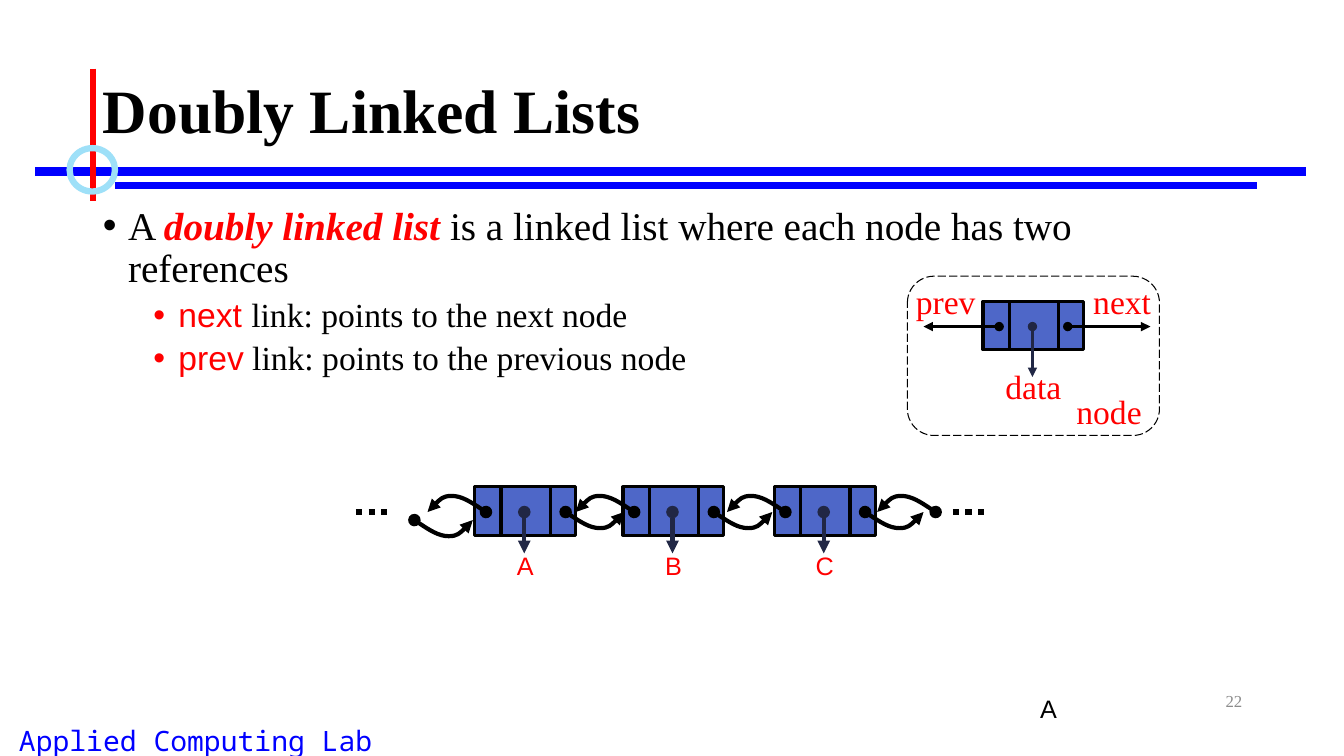
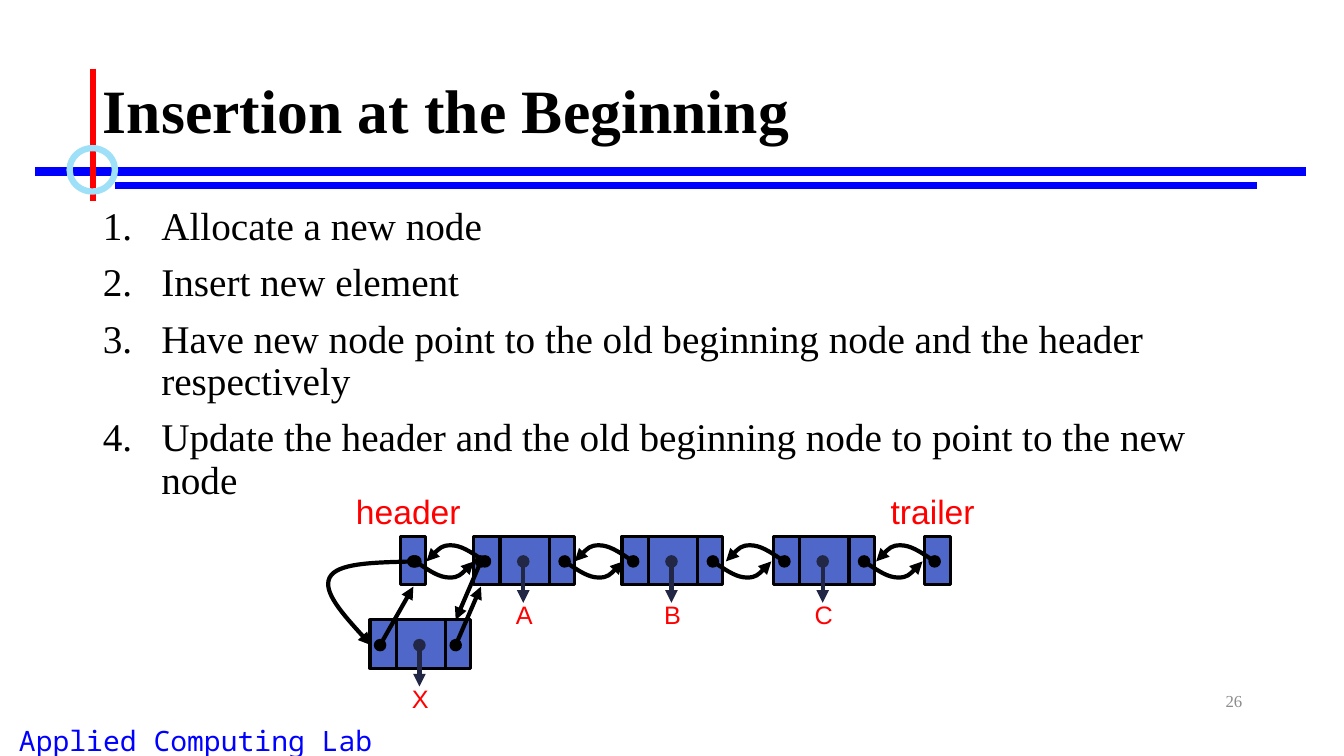
from dataclasses import dataclass

from lxml.etree import SubElement
from pptx import Presentation
from pptx.dml.color import RGBColor
from pptx.enum.dml import MSO_LINE as DASH
from pptx.enum.shapes import MSO_CONNECTOR, MSO_SHAPE as SHAPE
from pptx.enum.text import MSO_ANCHOR as ANCHOR, MSO_AUTO_SIZE as AUTO, PP_ALIGN as ALIGN
from pptx.oxml.ns import qn
from pptx.util import Inches, Pt


@dataclass(frozen=True)
class Theme:
    ink: str = "000000"
    accent: str = "FF0000"
    band: str = "0000FF"
    ring: str = "9EE0F8"
    cell: str = "4E67C8"
    data: str = "212745"
    muted: str = "8C8C8C"
    serif: str = "Times New Roman"
    sans: str = "Arial"
    mono: str = "Noto Sans Mono"
    title_pt: int = 44
    body_pt: int = 28
    sub_pt: int = 24
    footer_pt: int = 20
    label_pt: int = 18
    number_pt: int = 12


T = Theme()


class Deck:
    def __init__(self):
        self.prs = Presentation()
        self.prs.slide_width, self.prs.slide_height = Inches(13.33), Inches(7.5)
        self.s = None

    def slide(self, title, number):
        """Start a slide with its bands, title, footer and number."""
        self.s = self.prs.slides.add_slide(self.prs.slide_layouts[1])
        self.text("Applied Computing Lab", 0.09, 7.13, 4.3, 0.37,
                  T.footer_pt, T.mono, T.band, ALIGN.LEFT)
        self.line((0.35, 1.7), (12.95, 1.7), T.band, 6)
        self.line((1.14, 1.84), (12.47, 1.84), T.band, 4.5)
        self.line((0.92, 0.68), (0.92, 1.99), T.accent, 4.5)
        self.shape(SHAPE.OVAL, 0.69, 1.47, 0.45, 0.43, T.ring, 4.5)
        self.text(str(number), 9.42, 6.75, 3, 0.4, T.number_pt,
                  T.serif, T.muted, ALIGN.RIGHT, ANCHOR.MIDDLE)
        tf = self.place(self.s.shapes.title, 0.92, 0.4, 11.5, 1.45)
        tf.vertical_anchor = ANCHOR.MIDDLE
        p = tf.paragraphs[0]
        p.alignment, p.line_spacing = ALIGN.LEFT, 0.9
        self.run(p, title, T.title_pt, bold=True)

    def place(self, sp, x, y, w, h):
        sp.left, sp.top, sp.width, sp.height = map(Inches, (x, y, w, h))
        tf = sp.text_frame
        tf.word_wrap, tf.auto_size = True, AUTO.NONE
        return tf

    def run(self, p, text, size, font=T.serif, color=T.ink, bold=False, italic=False):
        r = p.add_run()
        r.text = text
        f = r.font
        f.size, f.name, f.bold, f.italic = Pt(size), font, bold, italic
        f.color.rgb = RGBColor.from_string(color)

    def body(self, items, indent, numbered=False):
        """Fill the body; items are (level, runs), a run is (text, style)."""
        tf = self.place(self.s.placeholders[1], 0.92, 2, 11.5, 4.76)
        tf.vertical_anchor = ANCHOR.TOP
        for i, (level, runs) in enumerate(items):
            p = tf.add_paragraph() if i else tf.paragraphs[0]
            p.level, p.alignment, p.line_spacing = level, ALIGN.LEFT, 0.9
            p.space_before = Pt((5 if level else 10) if i else 0)
            pPr = p._p.get_or_add_pPr()
            pPr.set("marL", str(Inches(indent + level * 0.5)))
            pPr.set("indent", str(-Inches(indent)))
            if numbered:
                SubElement(pPr, qn("a:buAutoNum"), type="arabicPeriod")
            else:
                SubElement(pPr, qn("a:buFont"), typeface=T.sans)
                SubElement(pPr, qn("a:buChar"), char="•")
            for text, style in runs:
                self.run(p, text, T.sub_pt if level else T.body_pt, **style)

    def text(self, text, x, y, w, h, size, font, color, align, anchor=ANCHOR.TOP):
        box = self.s.shapes.add_textbox(*map(Inches, (x, y, w, h)))
        tf = box.text_frame
        tf.word_wrap, tf.vertical_anchor = True, anchor
        p = tf.paragraphs[0]
        p.alignment = align
        self.run(p, text, size, font, color)

    def label(self, text, center, y, size=T.label_pt, font=T.sans, color=T.accent):
        w = 0.4 if len(text) == 1 else 1.3
        self.text(text, center - w / 2, y, w, size / 45, size, font, color, ALIGN.CENTER)

    def stroke(self, sp, color, weight, dash=None, arrow=False):
        sp.line.color.rgb = RGBColor.from_string(color)
        sp.line.width = Pt(weight)
        if dash:
            sp.line.dash_style = dash
        if arrow:
            ln = sp._element.spPr.find(qn("a:ln"))
            SubElement(ln, qn("a:headEnd"), type="oval")
            SubElement(ln, qn("a:tailEnd"), type="triangle")

    def shape(self, kind, x, y, w, h, color=T.ink, weight=2.25, fill=None, dash=None):
        sp = self.s.shapes.add_shape(kind, *map(Inches, (x, y, w, h)))
        sp.shadow.inherit = False
        if fill:
            sp.fill.solid()
            sp.fill.fore_color.rgb = RGBColor.from_string(fill)
        else:
            sp.fill.background()
        self.stroke(sp, color, weight, dash)

    def line(self, start, end, color=T.ink, weight=3, dash=None, arrow=False):
        cn = self.s.shapes.add_connector(
            MSO_CONNECTOR.STRAIGHT, *map(Inches, (*start, *end)))
        self.stroke(cn, color, weight, dash, arrow)
        SubElement(cn._element.spPr, qn("a:effectLst"))

    def arrow(self, start, end, color=T.ink, weight=3):
        self.line(start, end, color, weight, arrow=True)

    def curve(self, points):
        """Draw an arrow along cubic curves: a start, then three points per curve."""
        emu = [(Inches(x), Inches(y)) for x, y in points]
        fb = self.s.shapes.build_freeform(*emu[0])
        fb.add_line_segments(emu[1:], close=False)
        sp = fb.convert_to_shape()
        segments = list(sp._element.iter(qn("a:lnTo")))
        for i in range(0, len(segments), 3):
            bezier = SubElement(segments[i].getparent(), qn("a:cubicBezTo"))
            for seg in segments[i:i + 3]:
                bezier.append(seg[0])
                seg.getparent().remove(seg)
        sp.shadow.inherit = False
        sp.fill.background()
        self.stroke(sp, T.ink, 3, arrow=True)

    def link(self, x, y, way):
        """Draw a bowed link: way 1 runs right and sags, -1 runs left and rises."""
        bow = [(0, 0), (0.12, 0.08), (0.24, 0.16), (0.34, 0.16),
               (0.43, 0.16), (0.51, 0.08), (0.58, 0)]
        self.curve([(x + way * dx, y + way * dy) for dx, dy in bow])

    def cell(self, x, y, w=0.25):
        self.shape(SHAPE.RECTANGLE, x, y, w, 0.48, fill=T.cell)

    def node(self, x, y, name=None, drop=0.41, weight=3):
        self.cell(x + 0.25, y, 0.51)
        self.cell(x + 0.75, y)
        self.cell(x, y, 0.26)
        self.arrow((x + 0.49, y + 0.25), (x + 0.49, y + 0.25 + drop), T.data, weight)
        if name:
            self.label(name, x + 0.5, y + 0.58)

    def chain(self, y, lefts):
        """Draw nodes A, B, C with their links both ways."""
        for name, x in zip("ABC", lefts):
            self.node(x, y, name)
            self.link(x + 0.9, y + 0.25, 1)
            self.link(x + 0.11, y + 0.25, -1)


def doubly_linked(d):
    d.slide("Doubly Linked Lists", 22)
    key = dict(color=T.accent, font=T.sans)
    d.body([
        (0, [("A ", {}),
             ("doubly linked list ", dict(color=T.accent, bold=True, italic=True)),
             ("is a linked list where each node has two references", {})]),
        (1, [("next ", key), ("link: points to the next node", {})]),
        (1, [("prev", key), (" link: points to the previous node", {})]),
    ], 0.25)

    d.shape(SHAPE.ROUNDED_RECTANGLE, 9, 2.74, 2.5, 1.58, weight=0.75, dash=DASH.LONG_DASH)
    d.node(9.75, 2.99, drop=0.5, weight=2.25)
    d.arrow((10.59, 3.24), (11.41, 3.24), weight=2.25)
    d.arrow((9.91, 3.24), (9.16, 3.24), weight=2.25)
    for name, center, y in (("prev", 9.38, 2.74), ("next", 11.13, 2.74),
                            ("data", 10.25, 3.58), ("node", 11, 3.83)):
        d.label(name, center, y, T.sub_pt, T.serif)

    d.chain(4.83, (4.71, 6.18, 7.68))
    d.link(4.11, 5.16, 1)
    d.link(9.28, 5.08, -1)
    for x in (3.53, 9.45):
        d.line((x, 5.08), (x + 0.33, 5.08), weight=4.5, dash=DASH.ROUND_DOT)
    d.label("A", 10.4, 6.83, color=T.ink)


def insertion(d):
    d.slide("Insertion at the Beginning", 26)
    steps = ("Allocate a new node",
             "Insert new element",
             "Have new node point to the old beginning node and the header respectively",
             "Update the header and the old beginning node to point to the new node")
    d.body([(0, [(step, {})]) for step in steps], 0.58, numbered=True)

    d.chain(5.32, (4.7, 6.17, 7.67))
    d.cell(3.97, 5.32)
    d.link(4.12, 5.57, 1)
    d.label("header", 4.05, 4.82, T.sub_pt)
    d.cell(9.17, 5.32, 0.26)
    d.link(9.27, 5.57, -1)
    d.label("trailer", 9.25, 4.82, T.sub_pt)

    d.node(3.67, 6.15, "X")
    d.arrow((4.52, 6.4), (4.77, 5.82))
    d.arrow((3.77, 6.4), (4.1, 5.82))
    d.curve([(4.1, 5.57), (3.72, 5.58), (3.34, 5.59), (3.27, 5.73),
             (3.2, 5.87), (3.44, 6.14), (3.68, 6.4)])
    d.arrow((4.77, 5.57), (4.52, 6.15))


def main():
    d = Deck()
    doubly_linked(d)
    insertion(d)
    d.prs.save("out.pptx")


if __name__ == "__main__":
    main()
